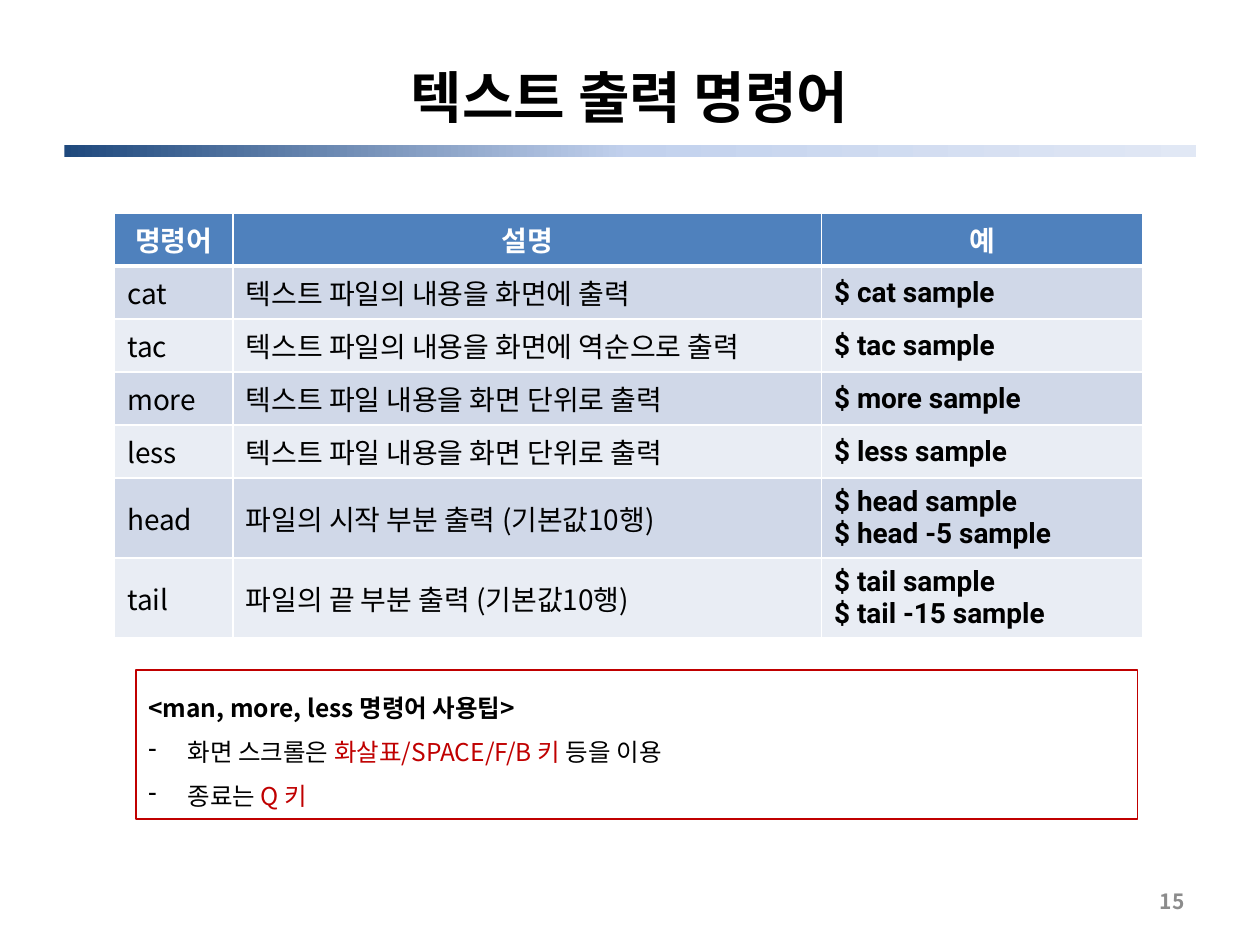
import pptx
import pptx.util
import pptx.dml.color
import pptx.enum.shapes
import pptx.enum.text
import pptx.oxml
import pptx.oxml.ns
from lxml import etree

Cm = pptx.util.Cm
Pt = pptx.util.Pt
RGB = pptx.dml.color.RGBColor.from_string
ALIGN = pptx.enum.text.PP_ALIGN
MIDDLE = pptx.enum.text.MSO_ANCHOR.MIDDLE
RECT = pptx.enum.shapes.MSO_SHAPE.RECTANGLE
qn = pptx.oxml.ns.qn


class Theme:
    font, code_font = "Noto Sans CJK KR", "Roboto"
    black, white, red, grey = "000000", "FFFFFF", "C00000", "8C8C8C"
    header, bands = "4F81BD", ("D0D8E8", "E9EDF4")
    gradient = ((0, "1F497D"), (50, "C2D1ED"), (100, "E1E8F5"))
    title_size, table_size, tip_size, number_size = 32, 16, 14, 12


def add_run(p, text, size, color=Theme.black, bold=False, font=Theme.font):
    r = p.add_run()
    r.text = text
    r.font.size = Pt(size)
    r.font.bold = bold
    r.font.name = font
    r.font.color.rgb = RGB(color)
    ea = etree.SubElement(r.font._element, qn("a:ea"))
    ea.set("typeface", font)


def add_border(cell, side, width):
    tcPr = cell._tc.get_or_add_tcPr()
    ln = etree.SubElement(tcPr, qn(f"a:ln{side}"), w=str(Pt(width)))
    solid = etree.SubElement(ln, qn("a:solidFill"))
    etree.SubElement(solid, qn("a:srgbClr"), val=Theme.white)


prs = pptx.Presentation()
prs.slide_width, prs.slide_height = Cm(25.4), Cm(19.05)
s = prs.slides.add_slide(prs.slide_layouts[6])

bar = s.shapes.add_shape(RECT, Cm(1.3), Cm(2.92), Cm(22.81), Cm(0.25))
bar.shadow.inherit = False
bar.line.fill.background()
bar.fill.gradient()
bar.fill.gradient_angle = 0
stops = bar._element.spPr.find(".//" + qn("a:gsLst"))
for gs in list(stops):
    stops.remove(gs)
for pos, color in Theme.gradient:
    gs = etree.SubElement(stops, qn("a:gs"), pos=str(pos * 1000))
    etree.SubElement(gs, qn("a:srgbClr"), val=color)

labels = [
    ("텍스트 출력 명령어", (1.27, 0.76, 22.86, 2.36), ALIGN.CENTER, Theme.title_size, Theme.black),
    ("15", (18.21, 17.65, 5.92, 1.02), ALIGN.RIGHT, Theme.number_size, Theme.grey),
]
for text, box, align, size, color in labels:
    tf = s.shapes.add_textbox(*map(Cm, box)).text_frame
    tf.word_wrap = True
    tf.vertical_anchor = MIDDLE
    p = tf.paragraphs[0]
    p.alignment = align
    add_run(p, text, size, color, True)

rows = [
    ("명령어", "설명", "예"),
    ("cat", "텍스트 파일의 내용을 화면에 출력", "$ cat sample"),
    ("tac", "텍스트 파일의 내용을 화면에 역순으로 출력", "$ tac sample"),
    ("more", "텍스트 파일 내용을 화면 단위로 출력", "$ more sample"),
    ("less", "텍스트 파일 내용을 화면 단위로 출력", "$ less sample"),
    ("head", "파일의 시작 부분 출력 (기본값10행)", "$ head sample\n$ head -5 sample"),
    ("tail", "파일의 끝 부분 출력 (기본값10행)", "$ tail sample\n$ tail -15 sample"),
]
widths = (2.39, 11.86, 6.48)
heights = [1.56 if "\n" in row[2] else 1.07 for row in rows]
table = s.shapes.add_table(len(rows), len(widths), Cm(2.31), Cm(4.29),
                           Cm(sum(widths)), Cm(sum(heights))).table
table.horz_banding = False
for col, width in zip(table.columns, widths):
    col.width = Cm(width)
for i, row in enumerate(rows):
    table.rows[i].height = Cm(heights[i])
    header = i == 0
    for j, text in enumerate(row):
        cell = table.cell(i, j)
        cell.vertical_anchor = MIDDLE
        for side in "LRTB":
            thick = (header and side == "B") or (i == 1 and side == "T")
            add_border(cell, side, 3 if thick else 1)
        cell.fill.solid()
        cell.fill.fore_color.rgb = RGB(Theme.header if header else Theme.bands[(i - 1) % 2])
        code = j == 2 and not header
        tf = cell.text_frame
        for k, line in enumerate(text.split("\n")):
            p = tf.add_paragraph() if k else tf.paragraphs[0]
            p.alignment = ALIGN.CENTER if header else ALIGN.LEFT
            add_run(p, line, Theme.table_size, Theme.white if header else Theme.black,
                    header or code, Theme.code_font if code else Theme.font)

tip = s.shapes.add_shape(RECT, Cm(2.74), Cm(13.51), Cm(20.19), Cm(3))
tip.shadow.inherit = False
tip.fill.solid()
tip.fill.fore_color.rgb = RGB(Theme.white)
tip.line.color.rgb = RGB(Theme.red)
tip.line.width = Pt(0.75)
tf = tip.text_frame
tf.word_wrap = True
tf.vertical_anchor = MIDDLE
tips = [
    [("<man, more, less 명령어 사용팁>", Theme.black)],
    [("화면 스크롤은 ", Theme.black), ("화살표/SPACE/F/B 키 ", Theme.red), ("등을 이용", Theme.black)],
    [("종료는 ", Theme.black), ("Q 키", Theme.red)],
]
for i, runs in enumerate(tips):
    p = tf.add_paragraph() if i else tf.paragraphs[0]
    p.alignment = ALIGN.LEFT
    p.line_spacing = 1.5
    if i:
        pPr = p._p.get_or_add_pPr()
        pPr.set("marL", str(Cm(0.79)))
        pPr.set("indent", str(-Cm(0.79)))
        etree.SubElement(pPr, qn("a:buChar"), char="-")
    for text, color in runs:
        add_run(p, text, Theme.tip_size, color, i == 0)

prs.save("out.pptx")
